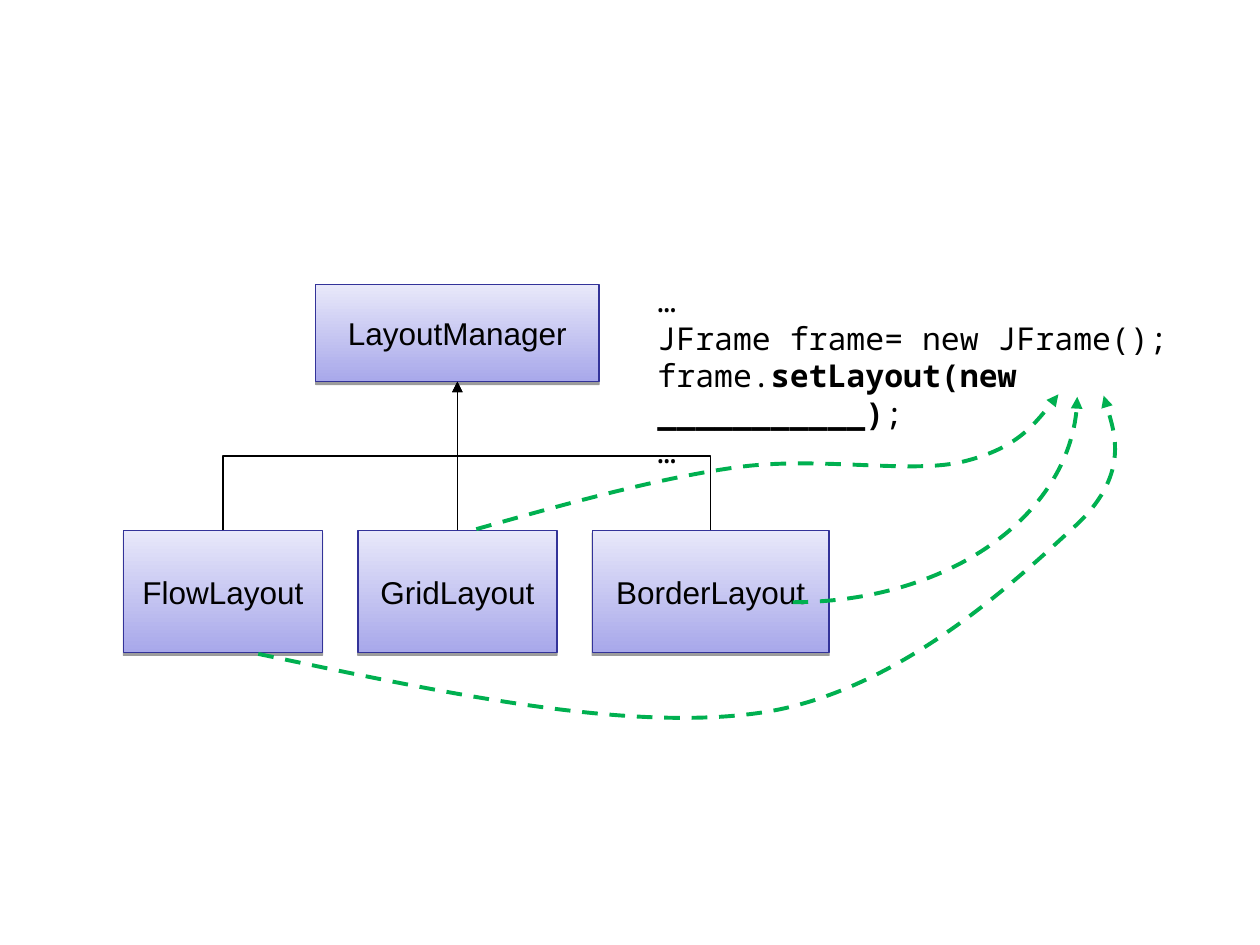
import pptx
import pptx.util
import pptx.dml.color
import pptx.enum.dml
import pptx.enum.shapes
import pptx.enum.text
import pptx.oxml
import pptx.oxml.ns

RGB = pptx.dml.color.RGBColor
BLACK = RGB(0x00, 0x00, 0x00)
NAVY = RGB(0x33, 0x33, 0x99)
DEEP = RGB(0xA8, 0xA8, 0xEA)
PALE = RGB(0xE8, 0xE8, 0xFA)
GREEN = RGB(0x00, 0xB0, 0x50)
NS = pptx.oxml.ns.nsdecls("a")
SHADE = (f'<a:effectLst {NS}><a:outerShdw blurRad="0" dist="20000" dir="5400000" rotWithShape="0">'
         '<a:srgbClr val="000000"><a:alpha val="38000"/></a:srgbClr></a:outerShdw></a:effectLst>')

deck = pptx.Presentation()
deck.slide_width = pptx.util.Inches(10)
deck.slide_height = pptx.util.Inches(7.5)
slide = deck.slides.add_slide(deck.slide_layouts[6])
CELL = deck.slide_width / 100  # square grid: 100 columns, 75 rows


def grid(*cells):
    return [round(cell * CELL) for cell in cells]


def add_run(para, text, font, bold=False):
    run = para.add_run()
    run.text = text
    run.font.name = font
    run.font.size = pptx.util.Pt(18)
    run.font.bold = bold
    run.font.color.rgb = BLACK


# Class boxes: the parent first, then its three children
tree = slide.shapes.add_group_shape().shapes
boxes = []
for name, left, top, wide, high in (
    ("LayoutManager", 25.05, 22.6, 22.5, 7.7),
    ("FlowLayout", 9.8, 42.1, 15.8, 9.7),
    ("GridLayout", 28.4, 42.1, 15.8, 9.7),
    ("BorderLayout", 47, 42.1, 18.8, 9.7),
):
    box = tree.add_shape(pptx.enum.shapes.MSO_SHAPE.RECTANGLE, *grid(left, top, wide, high))
    box.fill.gradient()
    box.fill.gradient_angle = 90
    for stop, color, place in zip(box.fill.gradient_stops, (DEEP, PALE), (0, 1)):
        stop.color.rgb = color
        stop.position = place
    box.line.color.rgb = NAVY
    box.line.width = pptx.util.Pt(0.75)
    box.element.spPr.append(pptx.oxml.parse_xml(SHADE))
    box.text_frame.vertical_anchor = pptx.enum.text.MSO_ANCHOR.MIDDLE
    para = box.text_frame.paragraphs[0]
    para.alignment = pptx.enum.text.PP_ALIGN.CENTER
    add_run(para, name, "Arial")
    boxes.append(box)

# Inheritance arrows, each child's top to the parent's bottom
kinds = pptx.enum.shapes.MSO_CONNECTOR
arrows = []
for child, kind in zip(boxes[1:], (kinds.ELBOW, kinds.STRAIGHT, kinds.ELBOW)):
    link = tree.add_connector(kind, 0, 0, 0, 0)
    link.begin_connect(child, 0)
    link.end_connect(boxes[0], 2)
    link.line.color.rgb = BLACK
    link.line.width = pptx.util.Pt(0.75)
    link.element.spPr.append(pptx.oxml.parse_xml(f"<a:effectLst {NS}/>"))
    arrows.append(link)
    if kind == kinds.ELBOW:  # turned a quarter so that it leaves upwards
        run, rise = link.end_x - link.begin_x, link.begin_y - link.end_y
        midx, midy = (link.begin_x + link.end_x) // 2, (link.begin_y + link.end_y) // 2
        link.left, link.top = midx - rise // 2, midy - abs(run) // 2
        link.width, link.height = rise, abs(run)
        frame = link.element.spPr.xfrm
        frame.set("rot", "16200000")
        frame.set("flipH", "0")
        frame.set("flipV", "1" if run < 0 else "0")

# Code sample
code = slide.shapes.add_textbox(*grid(51.2, 21.8, 48.4, 16)).text_frame
code.word_wrap = True
code.auto_size = pptx.enum.text.MSO_AUTO_SIZE.SHAPE_TO_FIT_TEXT
lines = (
    [("…", False)],
    [("JFrame frame= new JFrame();", False)],
    [("frame.", False), ("setLayout(new ___________)", True), (";", False)],
    [("…", False)],
)
for row, line in enumerate(lines):
    para = code.add_paragraph() if row else code.paragraphs[0]
    for text, bold in line:
        add_run(para, text, "Noto Sans Mono", bold)

# Dashed curves from the children to the blank: a start, then three points per Bezier piece
curves = (
    [(62.9, 47.8), (75.3, 47.8), (85.4, 40.5), (85.5, 31.5)],
    [(37.8, 42), (44.9, 40), (52, 38), (58.4, 37.1), (64.8, 36.2), (72, 37.6), (76.2, 36.7),
     (80.5, 35.7), (82.3, 33.5), (84, 31.3)],
    [(20.5, 51.9), (35.3, 55), (50, 58.2), (60.8, 56.5), (71.7, 54.7), (81, 45.7), (85.5, 41.6),
     (89.9, 37.4), (87.6, 31.4), (87.6, 31.4)],
)
for points in curves:
    start, *rest = [grid(*point) for point in points]
    pen = slide.shapes.build_freeform(*start)
    pen.add_line_segments(rest, close=False)
    curve = pen.convert_to_shape()
    steps = curve.element.xpath(".//a:path/a:lnTo")
    for first in range(0, len(steps), 3):
        bend = pptx.oxml.parse_xml(f"<a:cubicBezTo {NS}/>")
        steps[first].addprevious(bend)
        for step in steps[first:first + 3]:
            bend.append(step[0])
            step.getparent().remove(step)
    curve.shadow.inherit = False
    curve.fill.background()
    curve.line.color.rgb = GREEN
    curve.line.width = pptx.util.Pt(2.25)
    curve.line.dash_style = pptx.enum.dml.MSO_LINE.DASH
    arrows.append(curve)

for arrow in arrows:
    arrow.line._get_or_add_ln().append(pptx.oxml.parse_xml(f'<a:tailEnd {NS} type="triangle"/>'))

deck.save("out.pptx")
